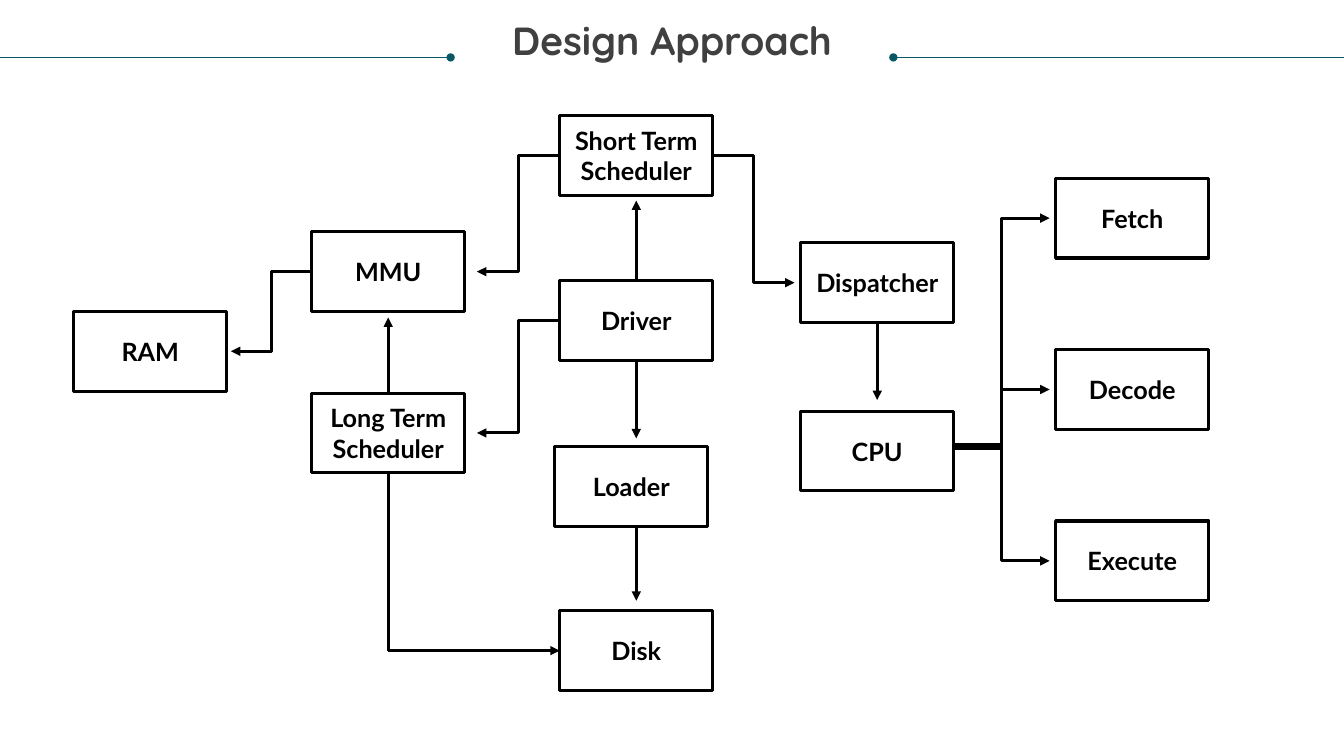
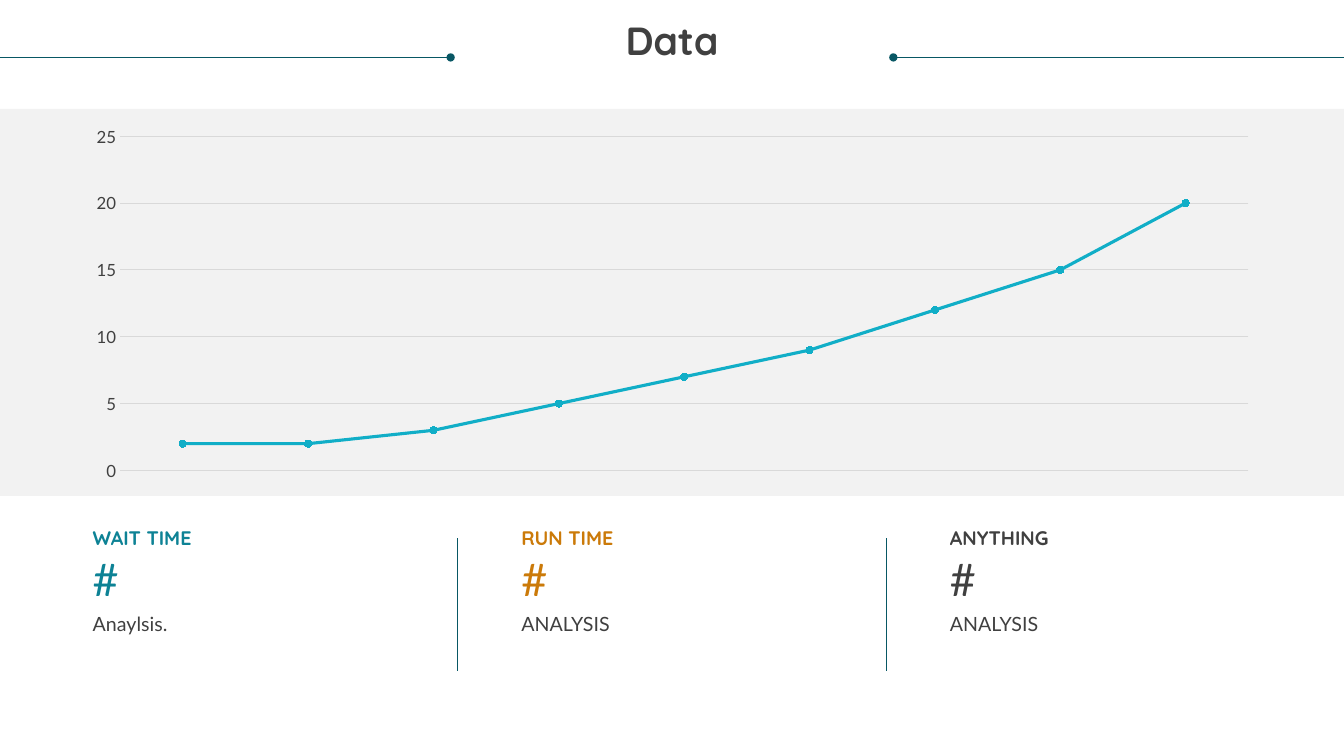
from dataclasses import dataclass

from lxml.etree import SubElement
from pptx import Presentation
from pptx.chart.data import CategoryChartData
from pptx.dml.color import RGBColor
from pptx.enum.chart import XL_CHART_TYPE, XL_MARKER_STYLE, XL_TICK_MARK
from pptx.enum.shapes import MSO_CONNECTOR, MSO_SHAPE
from pptx.enum.text import MSO_ANCHOR, MSO_AUTO_SIZE, PP_ALIGN
from pptx.oxml.ns import qn
from pptx.util import Inches, Pt

BLACK, WHITE, GRAY = "000000", "FFFFFF", "404040"
PALE, GRID = "F2F2F2", "D9D9D9"
PINE, TEAL, CYAN, AMBER = "085764", "0D8295", "11AEC7", "CB7A09"
HEADING_FONT, BODY_FONT = "Quicksand", "Lato"


@dataclass
class Box:
    left: float
    top: float
    width: float
    height: float

    def point(self, x, y):
        return self.left + self.width * x / 100, self.top + self.height * y / 100

    def cut(self, x, y, width, height):
        return Box(*self.point(x, y), self.width * width / 100, self.height * height / 100)

    def lengths(self):
        return [Inches(value) for value in (self.left, self.top, self.width, self.height)]


SLIDE = Box(0, 0, 13.33, 7.5)
SIDES = {"left": (0, 50, -1, 0), "right": (100, 50, 1, 0),
         "top": (50, 0, 0, -1), "bottom": (50, 100, 0, 1)}


def rgb(color):
    return RGBColor.from_string(color)


def set_font(font, size=18, name=BODY_FONT, color=BLACK, bold=False):
    font.size, font.name, font.bold = Pt(size), name, bold
    font.color.rgb = rgb(color)


def write(frame, text, align=PP_ALIGN.LEFT, anchor=MSO_ANCHOR.TOP,
          spacing=None, inset=0, **font_format):
    frame.text = text
    frame.word_wrap = True
    frame.auto_size = MSO_AUTO_SIZE.NONE
    frame.vertical_anchor = anchor
    frame.margin_left = frame.margin_right = Inches(inset)
    frame.margin_top = frame.margin_bottom = Inches(inset / 2)
    for paragraph in frame.paragraphs:
        paragraph.alignment = align
        paragraph.line_spacing = spacing
        for run in paragraph.runs:
            set_font(run.font, **font_format)


def add_label(slide, box, text, **text_format):
    label = slide.shapes.add_textbox(*box.lengths())
    write(label.text_frame, text, **text_format)


def add_panel(slide, box, fill, line=None):
    panel = slide.shapes.add_shape(MSO_SHAPE.RECTANGLE, *box.lengths())
    panel.shadow.inherit = False
    panel.fill.solid()
    panel.fill.fore_color.rgb = rgb(fill)
    if line:
        panel.line.color.rgb = rgb(line)
        panel.line.width = Pt(2.25)
    else:
        panel.line.fill.background()
    return panel


def add_line(slide, start, end, color=BLACK, width=2.25, tail=None,
             kind=MSO_CONNECTOR.STRAIGHT):
    connector = slide.shapes.add_connector(
        kind, *[Inches(value) for value in (*start, *end)])
    connector.line.color.rgb = rgb(color)
    connector.line.width = Pt(width)
    properties = connector._element.spPr
    if tail:
        SubElement(properties.find(qn("a:ln")), qn("a:tailEnd"), type=tail)
    SubElement(properties, qn("a:effectLst"))


def add_titled_slide(deck, title):
    slide = deck.slides.add_slide(deck.slide_layouts[5])
    heading = slide.shapes.title
    box = SLIDE.cut(1.88, 2.8, 96.24, 5.6)
    heading.left, heading.top, heading.width, heading.height = box.lengths()
    write(heading.text_frame, title, align=PP_ALIGN.CENTER, spacing=0.9,
          size=28, name=HEADING_FONT, color=GRAY, bold=True)
    for edge, inner in ((0, 33.53), (100, 66.47)):
        add_line(slide, SLIDE.point(edge, 7.6), SLIDE.point(inner, 7.6),
                 PINE, 0.5, "oval")
    return slide


def side_point(box, side, gap=0):
    x, y, step_x, step_y = SIDES[side]
    left, top = box.point(x, y)
    return left + step_x * gap, top + step_y * gap


def add_flow(slide, area):
    columns = [
        (0, 34.04, 0, ["RAM"]),
        (20.96, 20.18, 28.07, ["MMU", "Long Term\nScheduler"]),
        (42.81, 0, 28.71, ["Short Term\nScheduler", "Driver"]),
        (42.37, 57.54, 0, ["Loader"]),
        (42.81, 86.14, 0, ["Disk"]),
        (64.03, 22.1, 29.3, ["Dispatcher", "CPU"]),
        (86.5, 10.88, 29.82, ["Fetch", "Decode", "Execute"]),
    ]
    stages = {}
    for x, top, pitch, names in columns:
        for row, name in enumerate(names):
            box = area.cut(x, top + row * pitch, 13.5, 13.86)
            stages[name.split()[0]] = box
            panel = add_panel(slide, box, WHITE, BLACK)
            write(panel.text_frame, name, align=PP_ALIGN.CENTER,
                  anchor=MSO_ANCHOR.MIDDLE, inset=0.1, bold=True)

    vertical_links = [
        ("Driver", "top", "Short", "bottom", 0.05),
        ("Driver", "bottom", "Loader", "top", 0.08),
        ("Loader", "bottom", "Disk", "top", 0.1),
        ("Dispatcher", "bottom", "CPU", "top", 0.11),
        ("Long", "top", "MMU", "bottom", 0.06),
    ]
    for source, source_side, target, target_side, gap in vertical_links:
        x = side_point(stages["Driver" if source == "Loader" else source], source_side)[0]
        add_line(slide, (x, side_point(stages[source], source_side)[1]),
                 (x, side_point(stages[target], target_side, gap)[1]), tail="triangle")

    elbow_links = [
        ("Short", "right", "Dispatcher", "left", 0.06, 0),
        ("Short", "left", "MMU", "right", 0.12, 0),
        ("Driver", "left", "Long", "right", 0.12, 0),
        ("MMU", "left", "RAM", "right", 0.04, 0),
        ("CPU", "right", "Fetch", "left", 0.06, 0.06),
        ("CPU", "right", "Decode", "left", 0.06, 0.03),
        ("CPU", "right", "Execute", "left", 0.06, 0.05),
    ]
    for source, source_side, target, target_side, gap, lift in elbow_links:
        x, y = side_point(stages[source], source_side)
        add_line(slide, (x, y - lift), side_point(stages[target], target_side, gap),
                 tail="triangle", kind=MSO_CONNECTOR.ELBOW)

    scheduler_exit = side_point(stages["Long"], "bottom")
    disk_entry = side_point(stages["Disk"], "left")
    corner = scheduler_exit[0], disk_entry[1]
    add_line(slide, scheduler_exit, corner)
    add_line(slide, corner, disk_entry, tail="triangle")


def add_trend(slide, area):
    values = [2, 2, 3, 5, 7, 9, 12, 15, 20]
    trend = CategoryChartData()
    trend.categories = [str(number) for number in range(1, len(values) + 1)]
    trend.add_series("Series 1", values)
    chart = slide.shapes.add_chart(
        XL_CHART_TYPE.LINE_MARKERS, *area.lengths(), trend).chart
    chart.has_legend = chart.has_title = False
    set_font(chart.font, size=10)
    chart.category_axis.visible = False

    axis = chart.value_axis
    axis.minimum_scale, axis.maximum_scale, axis.major_unit = 0, 25, 5
    axis.major_tick_mark = axis.minor_tick_mark = XL_TICK_MARK.NONE
    axis.format.line.fill.background()
    set_font(axis.tick_labels.font, size=12, color=GRAY)
    axis.major_gridlines.format.line.color.rgb = rgb(GRID)
    axis.major_gridlines.format.line.width = Pt(0.75)

    plot = chart.plots[0]
    plot.vary_by_categories = False
    series = plot.series[0]
    series.smooth = False
    series.format.line.color.rgb = rgb(CYAN)
    series.format.line.width = Pt(2.25)
    series.marker.style = XL_MARKER_STYLE.CIRCLE
    series.marker.size = 5
    series.marker.format.fill.solid()
    series.marker.format.fill.fore_color.rgb = rgb(CYAN)
    series.marker.format.line.color.rgb = rgb(CYAN)


def add_figures(slide, area):
    figures = [("WAIT TIME", "Anaylsis.", TEAL),
               ("RUN TIME", "ANALYSIS", AMBER),
               ("ANYTHING", "ANALYSIS", GRAY)]
    for column, (heading, analysis, color) in enumerate(figures):
        x = column * 36.96
        add_label(slide, area.cut(x, 0, 26.09, 16.33), heading, spacing=Pt(19),
                  size=14, name=HEADING_FONT, color=color, bold=True)
        add_label(slide, area.cut(x, 19.05, 26.09, 36.73), "#", size=32, color=color)
        add_label(slide, area.cut(x, 57.82, 26.09, 16.33), analysis,
                  spacing=Pt(19), size=14, color=GRAY)
        if column:
            add_line(slide, area.point(x - 5.48, 10.2), area.point(x - 5.48, 100),
                     PINE, 0.5)


def build_design_slide(deck):
    slide = add_titled_slide(deck, "Design Approach")
    add_flow(slide, SLIDE.cut(5.48, 15.33, 84.47, 76))


def build_data_slide(deck):
    slide = add_titled_slide(deck, "Data")
    add_panel(slide, SLIDE.cut(0, 14.4, 100, 51.2), PALE)
    add_trend(slide, SLIDE.cut(5.4, 15.73, 89.27, 48.8))
    add_figures(slide, SLIDE.cut(6.9, 69.2, 86.27, 19.6))


deck = Presentation()
deck.slide_width, deck.slide_height = SLIDE.lengths()[2:]
build_design_slide(deck)
build_data_slide(deck)
deck.save("out.pptx")
